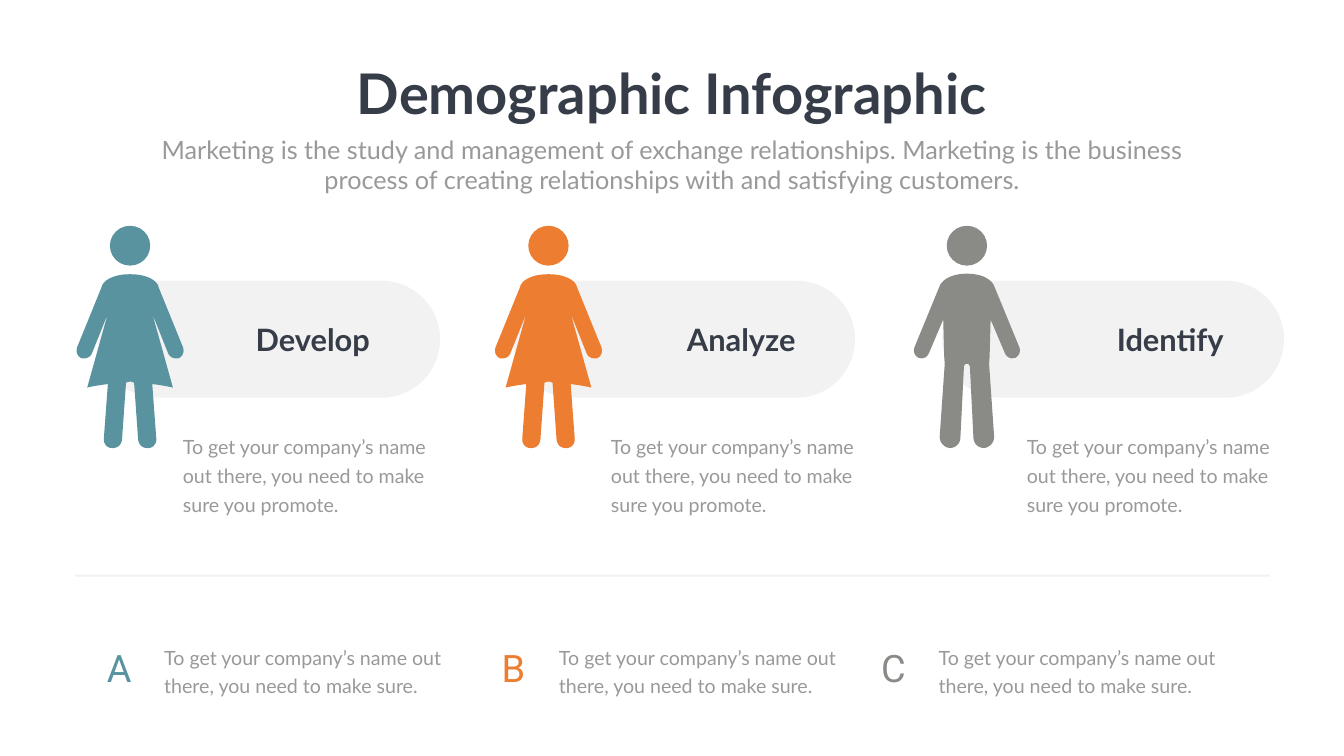
from pptx import Presentation
from pptx.dml.color import RGBColor
from pptx.enum.shapes import MSO_CONNECTOR, MSO_SHAPE
from pptx.enum.text import MSO_ANCHOR, MSO_AUTO_SIZE, PP_ALIGN
from pptx.oxml.ns import qn
from pptx.util import Inches, Pt
from lxml.etree import SubElement

DARK, MUTED, PALE = "363D48", "999999", "808080"
TEAL, ORANGE, GRAY = "59939F", "ED7D31", "8A8A86"
CURVE_STEPS = 8

# Right half of each body, in inches from the top of the head on the centre line.
# Two numbers are a line to a point, six are a cubic curve.
WOMAN = [
    (0, 0.96), (0.4, 0.96, 0.52, 1.13, 0.52, 1.13), (0.55, 1.17), (0.57, 1.23),
    (1.05, 2.41), (1.08, 2.5, 1.05, 2.59, 0.96, 2.63), (0.91, 2.63),
    (0.85, 2.63, 0.79, 2.6, 0.76, 2.54), (0.46, 1.79), (0.46, 1.81), (0.85, 3.21),
    (0.85, 3.21, 0.69, 3.17, 0.44, 3.14), (0.52, 4.22),
    (0.53, 4.32, 0.46, 4.41, 0.36, 4.41), (0.34, 4.41),
    (0.24, 4.41, 0.17, 4.34, 0.16, 4.24), (0.08, 3.11),
    (0.05, 3.11, 0.03, 3.09, 0, 3.09),
]
MAN = [
    (0, 0.95), (0.38, 0.95, 0.5, 1.13, 0.5, 1.13), (0.53, 1.17), (1.04, 2.41),
    (1.07, 2.49, 1.04, 2.58, 0.96, 2.62), (0.9, 2.63),
    (0.83, 2.63, 0.78, 2.59, 0.75, 2.52), (0.47, 1.86), (0.45, 2.6), (0.44, 2.74),
    (0.54, 4.19), (0.54, 4.3, 0.46, 4.39, 0.35, 4.41), (0.34, 4.41),
    (0.23, 4.41, 0.14, 4.33, 0.13, 4.22), (0.06, 2.81),
    (0.06, 2.81, 0.06, 2.74, 0, 2.74),
]

# label, colour, body outline, pill left, label left, description left
COLUMNS = [
    ("Develop", TEAL, WOMAN, 1.95, 4.74, 3.53),
    ("Analyze", ORANGE, WOMAN, 10.18, 13.24, 12.02),
    ("Identify", GRAY, MAN, 18.69, 21.75, 20.27),
]
FIRST_CENTER, FIGURE_STEP, FIGURE_TOP = 2.58, 8.3, 4.48
NOTES = [("A", TEAL, 2.02), ("B", ORANGE, 9.85), ("C", GRAY, 17.38)]
LETTER_WIDTH = 1.14


def rgb(color):
    return RGBColor.from_string(color)


def set_alpha(properties, percent):
    """Make the solid fill inside a shape's or line's properties partly transparent."""
    color = properties.find(qn("a:solidFill"))[0]
    SubElement(color, qn("a:alpha")).set("val", str(percent * 1000))


def trace(segments):
    """Turn lines and cubic curves into a list of points."""
    points = []
    for segment in segments:
        if len(segment) == 2:
            points.append(segment)
            continue
        controls = [points[-1], segment[:2], segment[2:4], segment[4:]]
        for step in range(1, CURVE_STEPS + 1):
            t = step / CURVE_STEPS
            weights = ((1 - t) ** 3, 3 * t * (1 - t) ** 2, 3 * t * t * (1 - t), t ** 3)
            points.append(tuple(
                sum(weight * control[axis] for weight, control in zip(weights, controls))
                for axis in (0, 1)))
    return points


class Page:
    def __init__(self, slide, font="Lato"):
        self.shapes = slide.shapes
        self.font = font

    def set_text(self, shape, text, size, color, bold=False, align=PP_ALIGN.LEFT,
                 font=None, spacing=1.0, wrap=True):
        frame = shape.text_frame
        frame.text = text
        frame.word_wrap = wrap
        frame.auto_size = MSO_AUTO_SIZE.SHAPE_TO_FIT_TEXT
        frame.vertical_anchor = MSO_ANCHOR.TOP
        paragraph = frame.paragraphs[0]
        paragraph.alignment = align
        paragraph.line_spacing = spacing
        style = paragraph.runs[0].font
        style.name = font or self.font
        style.size = Pt(size)
        style.bold = bold
        style.color.rgb = rgb(color)

    def title(self, box, text, **style):
        shape = self.shapes.title
        shape.left, shape.top, shape.width, shape.height = map(Inches, box)
        self.set_text(shape, text, **style)

    def text(self, box, text, **style):
        self.set_text(self.shapes.add_textbox(*map(Inches, box)), text, **style)

    def paint(self, shape, color):
        shape.shadow.inherit = False
        shape.fill.solid()
        shape.fill.fore_color.rgb = rgb(color)
        shape.line.fill.background()

    def pill(self, box):
        shape = self.shapes.add_shape(MSO_SHAPE.ROUNDED_RECTANGLE, *map(Inches, box))
        shape.adjustments[0] = 0.5
        self.paint(shape, PALE)
        set_alpha(shape._element.spPr, 10)

    def person(self, center, top, half_outline, color):
        group = self.shapes.add_group_shape()
        right = trace(half_outline)
        left = [(-x, y) for x, y in reversed(right)]
        points = [(Inches(center + x), Inches(top + y)) for x, y in right + left]
        builder = group.shapes.build_freeform(*points[0])
        builder.add_line_segments(points[1:], close=True)
        self.paint(builder.convert_to_shape(), color)
        head = group.shapes.add_shape(
            MSO_SHAPE.OVAL, Inches(center - 0.4), Inches(top), Inches(0.8), Inches(0.79))
        self.paint(head, color)

    def divider(self, left, right, y):
        connector = self.shapes.add_connector(
            MSO_CONNECTOR.STRAIGHT, Inches(left), Inches(y), Inches(right), Inches(y))
        connector.line.width = Pt(3)
        connector.line.color.rgb = rgb(PALE)
        properties = connector._element.spPr
        set_alpha(properties.find(qn("a:ln")), 10)
        SubElement(properties, qn("a:effectLst"))


def main():
    presentation = Presentation()
    presentation.slide_width, presentation.slide_height = Inches(26.66), Inches(15)
    page = Page(presentation.slides.add_slide(presentation.slide_layouts[5]))

    page.title((6.86, 1.12, 12.93, 1.45), "Demographic Infographic", size=80,
               color=DARK, bold=True, align=PP_ALIGN.CENTER, wrap=False)
    page.text((2.92, 2.61, 20.82, 1.31),
              "Marketing is the study and management of exchange relationships. "
              "Marketing is the business process of creating relationships with "
              "and satisfying customers.",
              size=36, color=MUTED, align=PP_ALIGN.CENTER)

    body_style = dict(size=28, color=MUTED, spacing=Pt(40.8))
    for index, (label, color, outline, pill_x, label_x, text_x) in enumerate(COLUMNS):
        page.pill((pill_x, 5.57, 6.78, 2.32))
        page.text((label_x, 6.32, 2.93, 0.84), label, size=44, color=DARK,
                  bold=True, align=PP_ALIGN.CENTER)
        page.person(FIRST_CENTER + index * FIGURE_STEP, FIGURE_TOP, outline, color)
        page.text((text_x, 8.49, 5.2, 1.77),
                  "To get your company’s name out there, you need to make sure you promote.",
                  **body_style)

    page.divider(1.49, 25.19, 11.42)
    for letter, color, left in NOTES:
        page.text((left, 12.75, LETTER_WIDTH, 1.01), letter, size=54, color=color,
                  font="Roboto")
        page.text((left + LETTER_WIDTH, 12.66, 6.27, 1.19),
                  "To get your company’s name out there, you need to make sure.",
                  **body_style)

    presentation.save("out.pptx")


if __name__ == "__main__":
    main()
